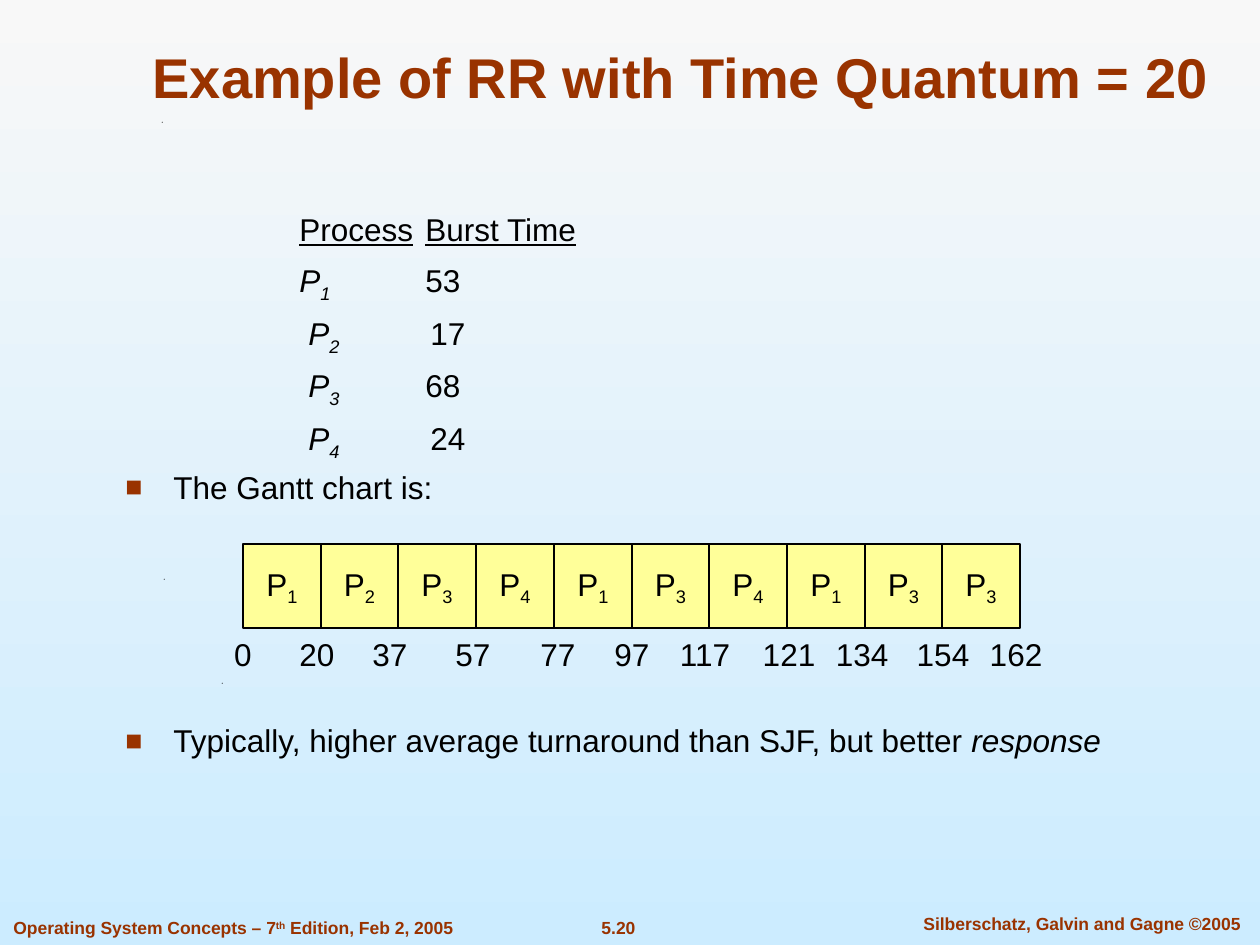
from lxml import etree
from pptx import Presentation, util as u
from pptx.dml.color import RGBColor
from pptx.enum import shapes, text
from pptx.oxml.ns import qn

RUST, INK, PALE = "993300", "000000", "FFFF99"
TITLE = "Example of RR with Time Quantum = 20"
ROWS = [
    ([("Process", "u"), ("\t", ""), ("Burst Time", "u")], 174, 300),
    ([("P", "i"), ("1", "is"), ("\t53", "")], 174, 300),
    ([("P", "i"), ("2", "is"), ("\t17", "")], 183, 305),
    ([("P", "i"), ("3", "is"), ("\t68", "")], 183, 300),
    ([("P", "i"), ("4", "is"), ("\t24", "")], 183, 305),
]
POINTS = [
    ([("The Gantt chart is:", "")], 7.9),
    ([("Typically, higher average turnaround than SJF, but better ", ""),
      ("response", "i")], 125.3),
]
ORDER = "1234134133"
TIMES = [(0, 243), (20, 317), (37, 390), (57, 473), (77, 558), (97, 632),
         (117, 705), (121, 789), (134, 862), (154, 943), (162, 1016)]
FOOT = [
    ([("Operating System Concepts – 7", "b"), ("th", "bt"),
      (" Edition, Feb 2, 2005", "b")], (1, 911, 465, 34), "LEFT"),
    ([("5.20", "b")], (557, 911, 123, 34), "CENTER"),
    ([("Silberschatz, Galvin and Gagne ©2005", "b")], (895, 907, 374, 34), "CENTER"),
]
SPECKS = [(222, 683), (164, 579), (162, 122)]
LEFT, WIDE, TOP, HIGH = 243, 777, 544, 84


def px(n):
    return round(n * 914400 / 126)


def hue(code):
    return RGBColor.from_string(code)


def write(para, runs, size, color):
    for words, style in runs:
        run = para.add_run()
        run.text = words
        font = run.font
        font.name, font.size, font.color.rgb = "Arial", u.Pt(size), hue(color)
        font.bold, font.italic, font.underline = "b" in style, "i" in style, "u" in style
        if "s" in style or "t" in style:
            run._r.get_or_add_rPr().set("baseline", "-25000" if "s" in style else "30000")


def frame(shape, anchor, wrap):
    body = shape.text_frame
    body.word_wrap = wrap
    body.vertical_anchor = text.MSO_ANCHOR[anchor]
    return body


def label(pool, box, runs, size, color, anchor="MIDDLE", align="CENTER", wrap=False):
    body = frame(pool.add_textbox(*map(px, box)), anchor, wrap)
    para = body.paragraphs[0]
    para.alignment = text.PP_ALIGN[align]
    write(para, runs, size, color)


def tabs(para, stops):
    holder = etree.SubElement(para._p.get_or_add_pPr(), qn("a:tabLst"))
    for stop in stops:
        etree.SubElement(holder, qn("a:tab"), pos=str(px(stop)), algn="l")


def bullet(para):
    props = para._p.get_or_add_pPr()
    props.set("marL", str(px(48)))
    props.set("indent", str(-px(48)))
    tint = etree.SubElement(props, qn("a:buClr"))
    etree.SubElement(tint, qn("a:srgbClr"), val=RUST)
    etree.SubElement(props, qn("a:buSzPct"), val="90000")
    etree.SubElement(props, qn("a:buFont"), typeface="Arial")
    etree.SubElement(props, qn("a:buChar"), char="■")


def content(pool):
    body = frame(pool.add_textbox(*map(px, (113, 208, 1013, 617))), "TOP", True)
    for i, (runs, *stops) in enumerate(ROWS):
        para = body.add_paragraph() if i else body.paragraphs[0]
        tabs(para, stops)
        para.line_spacing, para.space_before = 0.9, u.Pt(7.9 if i else 0)
        write(para, [("\t", "")] + runs, 18, INK)
    for runs, gap in POINTS:
        para = body.add_paragraph()
        bullet(para)
        para.line_spacing, para.space_before = 0.9, u.Pt(gap)
        write(para, runs, 18, INK)


def gantt(pool):
    edges = [round(LEFT + WIDE * i / len(ORDER)) for i in range(len(ORDER) + 1)]
    for num, left, right in zip(ORDER, edges, edges[1:]):
        cell = pool.add_shape(shapes.MSO_SHAPE.RECTANGLE,
                              *map(px, (left, TOP, right - left, HIGH)))
        cell.shadow.inherit = False
        cell.fill.solid()
        cell.fill.fore_color.rgb = hue(PALE)
        cell.line.color.rgb, cell.line.width = hue(INK), u.Pt(0.75)
        para = frame(cell, "MIDDLE", False).paragraphs[0]
        para.alignment = text.PP_ALIGN.CENTER
        write(para, [("P", ""), (num, "s")], 18, INK)
    for time, mid in TIMES:
        wide = 25 + 18 * len(str(time))
        label(pool, (mid - wide / 2, TOP + HIGH + 1, wide, 50), [(str(time), "")], 18, INK)


def speck(pool, x, y):
    pen = pool.build_freeform(px(x), px(y))
    pen.add_line_segments([(px(x + 1), px(y)), (px(x), px(y + 1))], close=True)
    dot = pen.convert_to_shape()
    dot.shadow.inherit = False
    dot.fill.solid()
    dot.fill.fore_color.rgb = hue(INK)
    dot.line.fill.background()


def main():
    """Build the round-robin scheduling slide."""
    deck = Presentation()
    deck.slide_width, deck.slide_height = px(1260), px(945)
    slide = deck.slides.add_slide(deck.slide_layouts[6])
    back = slide.background.fill
    back.gradient()
    back.gradient_angle = 270
    for stop, code, place in zip(back.gradient_stops, ("F8F8F8", "CCECFF"), (0, 1)):
        stop.color.rgb, stop.position = hue(code), place
    pool = slide.shapes
    for x, y in SPECKS:
        speck(pool, x, y)
    for runs, box, align in FOOT:
        label(pool, box, runs, 10, RUST, "TOP", align)
    label(pool, (126, 0, 1110, 116), [(TITLE, "b")], 32, RUST, "BOTTOM", wrap=True)
    content(pool)
    gantt(pool.add_group_shape().shapes)
    deck.save("out.pptx")


if __name__ == "__main__":
    main()
